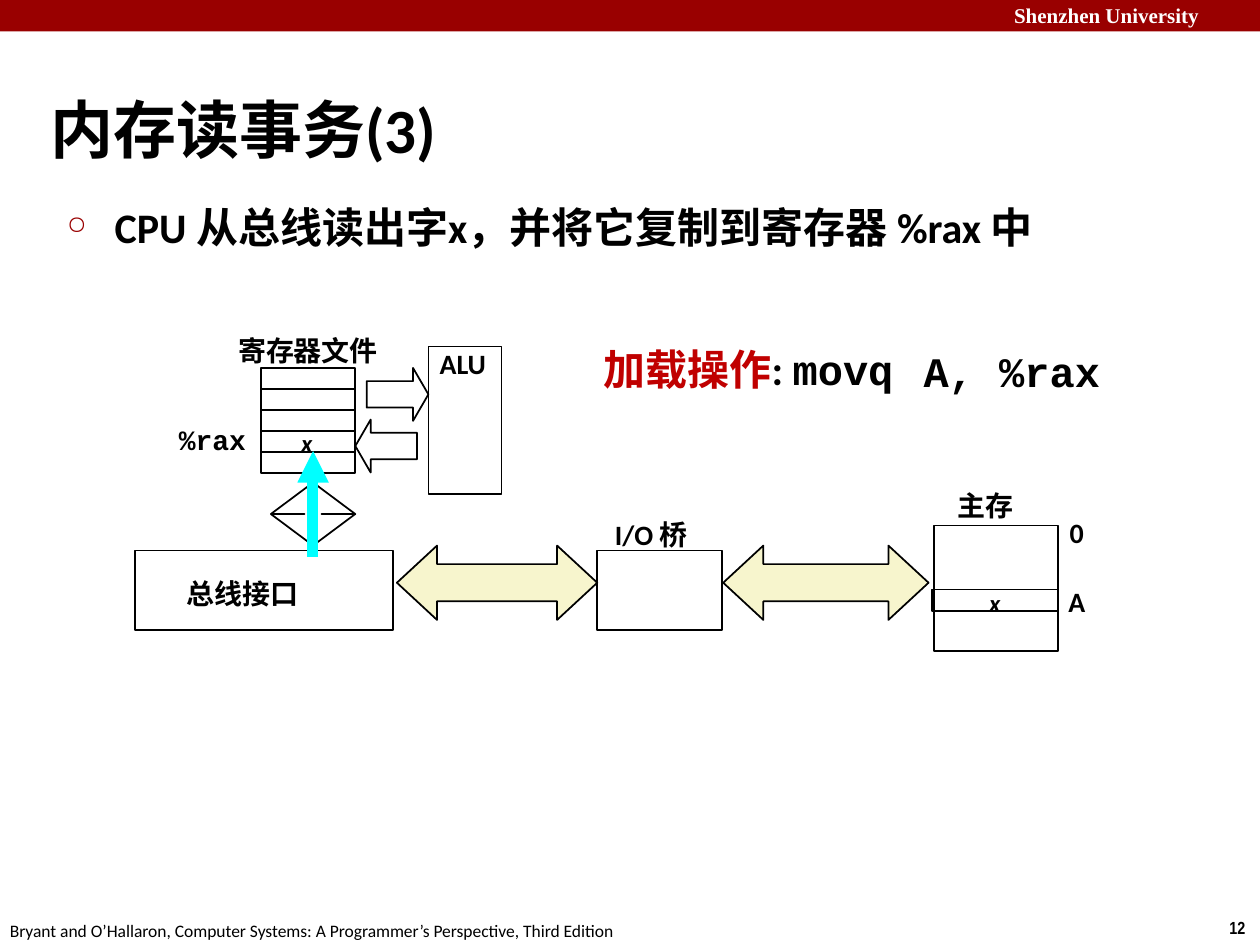
from pptx import Presentation
from pptx.dml.color import RGBColor
from pptx.enum.shapes import MSO_CONNECTOR, MSO_SHAPE
from pptx.enum.text import MSO_ANCHOR
from pptx.oxml.ns import qn
from pptx.util import Inches, Pt
from lxml import etree

BLACK = RGBColor(0, 0, 0)
WHITE = RGBColor(255, 255, 255)
MAROON = RGBColor(0x99, 0, 0)
RED = RGBColor(0xC0, 0, 0)
CREAM = RGBColor(0xF7, 0xF5, 0xCD)
CYAN = RGBColor(0, 255, 255)

RECTANGLE = MSO_SHAPE.RECTANGLE
TRIANGLE = MSO_SHAPE.ISOSCELES_TRIANGLE
RIGHT_ARROW = MSO_SHAPE.RIGHT_ARROW
LEFT_ARROW = MSO_SHAPE.LEFT_ARROW
UP_DOWN_ARROW = MSO_SHAPE.UP_DOWN_ARROW
LEFT_RIGHT_ARROW = MSO_SHAPE.LEFT_RIGHT_ARROW
STRAIGHT = MSO_CONNECTOR.STRAIGHT
MIDDLE = MSO_ANCHOR.MIDDLE

SANS = "Calibri"
MONO = "Courier New"
TIGHT = (0.01, 0, 0, 0)
PADDED = (0.1, 0.05, 0.1, 0.05)


class SlideBuilder:
    base = {"name": SANS, "size": 16, "bold": True, "italic": False, "color": BLACK}

    def __init__(self, page):
        self.page = page

    def shape(self, kind, bounds, fill=None, line=BLACK, adjustments=()):
        shape = self.page.shapes.add_shape(kind, *map(Inches, bounds))
        shape.shadow.inherit = False
        for index, value in enumerate(adjustments):
            shape.adjustments[index] = value
        if fill is None:
            shape.fill.background()
        else:
            shape.fill.solid()
            shape.fill.fore_color.rgb = fill
        if line is None:
            shape.line.fill.background()
        else:
            shape.line.color.rgb = line
            shape.line.width = Pt(1)
        return shape

    def line(self, start, end, color, width):
        line = self.page.shapes.add_connector(STRAIGHT, *map(Inches, start + end))
        line.line.color.rgb = color
        line.line.width = Pt(width)
        etree.SubElement(line._element.spPr, qn("a:effectLst"))

    def text(self, content, bounds, margins=TIGHT, wrap=True, anchor=None, **style):
        box = self.page.shapes.add_textbox(*map(Inches, bounds))
        frame = box.text_frame
        frame.word_wrap = wrap
        if anchor is not None:
            frame.vertical_anchor = anchor
        for side, margin in zip(("left", "top", "right", "bottom"), margins):
            setattr(frame, f"margin_{side}", Inches(margin))
        para = frame.paragraphs[0]
        spans = [(content, {})] if isinstance(content, str) else content
        for words, changes in spans:
            span = para.add_run()
            span.text = words
            values = {**self.base, **style, **changes}
            span.font.color.rgb = values.pop("color")
            values["size"] = Pt(values["size"])
            for name, value in values.items():
                setattr(span.font, name, value)
        return para

    def bullet(self, content, bounds, **style):
        para = self.text(content, bounds, margins=(0, 0, 0, 0), **style)
        properties = para._p.get_or_add_pPr()
        properties.set("marL", str(Inches(0.39)))
        properties.set("indent", str(Inches(-0.38)))
        color = etree.SubElement(properties, qn("a:buClr"))
        etree.SubElement(color, qn("a:srgbClr"), val=str(MAROON))
        etree.SubElement(properties, qn("a:buSzPct"), val="60000")
        etree.SubElement(properties, qn("a:buChar"), char="○")


def build_frame(slide):
    slide.shape(RECTANGLE, (0, 0, 10, 0.25), fill=MAROON, line=None)
    slide.text("Shenzhen University", (7.95, -0.03, 2.12, 0.3), PADDED,
               name="Times New Roman", size=12, color=WHITE)
    slide.text("12", (9.66, 7.23, 0.34, 0.27), PADDED, wrap=False,
               name="Arial Narrow", size=10)
    slide.text("Bryant and O’Hallaron, Computer Systems: A Programmer’s Perspective, "
               "Third Edition", (-0.02, 7.25, 5.09, 0.27), PADDED, wrap=False,
               size=10, bold=False)
    slide.text("内存读事务(3)", (0.39, 0.47, 8.3, 0.85), (0.01, 0.24, 0, 0),
               anchor=MIDDLE, size=36)
    slide.bullet("CPU 从总线读出字x，并将它复制到寄存器 %rax 中",
                 (0.52, 1.6, 8.15, 0.4), size=24)


def build_diagram(slide):
    for left, width in ((5.74, 1.63), (3.15, 1.59)):
        slide.shape(LEFT_RIGHT_ARROW, (left, 4.33, width, 0.59), fill=CREAM,
                    adjustments=(0.5, 0.54))

    register_left, register_top, register_height = 2.07, 2.92, 0.5 / 3
    for row in range(5):
        top = register_top + row * register_height
        slide.shape(RECTANGLE, (register_left, top, 0.75, register_height))

    for kind, left, top in ((RIGHT_ARROW, 2.91, 2.92), (LEFT_ARROW, 2.82, 3.33)):
        slide.shape(kind, (left, top, 0.49, 0.42), adjustments=(0.5, 0.29))
    slide.shape(UP_DOWN_ARROW, (2.15, 3.83, 0.67, 0.5), adjustments=(0.5, 0.2))

    alu, bridge, bus_interface = (3.4, 2.75, 0.58, 1.17), (4.74, 4.37, 0.99, 0.63), (1.07, 4.37, 2.05, 0.63)
    memory, memory_word = (7.41, 4.17, 0.99, 1), (7.4, 4.68, 1, 0.17)
    for bounds in (alu, bridge, bus_interface, memory, memory_word):
        slide.shape(RECTANGLE, bounds)

    slide.line((2.48, 4.42), (2.48, 3.79), CYAN, 6)
    slide.shape(TRIANGLE, (2.36, 3.58, 0.25, 0.25), fill=CYAN, line=None)


def build_labels(slide):
    labels = (
        ("ALU", (3.48, 2.75, 0.5, 0.27)),
        ("0", (8.48, 4.09, 0.14, 0.25)),
        ("A", (8.47, 4.64, 0.16, 0.25)),
        ("寄存器文件", (1.88, 2.65, 1.22, 0.27)),
        ("总线接口", (1.47, 4.58, 1.23, 0.27)),
        ("主存", (7.59, 3.88, 0.61, 0.27)),
        ("I/O 桥", (4.87, 4.11, 0.72, 0.27)),
    )
    for content, bounds in labels:
        slide.text(content, bounds)
    for left, top in ((7.84, 4.67), (2.38, 3.4)):
        slide.text("x", (left, top, 0.12, 0.22), size=14, italic=True)
    slide.text("%rax", (1.41, 3.35, 0.56, 0.25), name=MONO)
    slide.text([("加载操作", {"color": RED}), (": ", {}), ("movq", {"name": MONO})],
               (4.78, 2.73, 2.88, 0.4), size=24)
    slide.text("A, %rax", (7.32, 2.74, 1.5, 0.4), name=MONO, size=24)


def main():
    deck = Presentation()
    deck.slide_width, deck.slide_height = Inches(10), Inches(7.5)
    slide = SlideBuilder(deck.slides.add_slide(deck.slide_layouts[6]))
    build_frame(slide)
    build_diagram(slide)
    build_labels(slide)
    deck.save("out.pptx")


if __name__ == "__main__":
    main()
